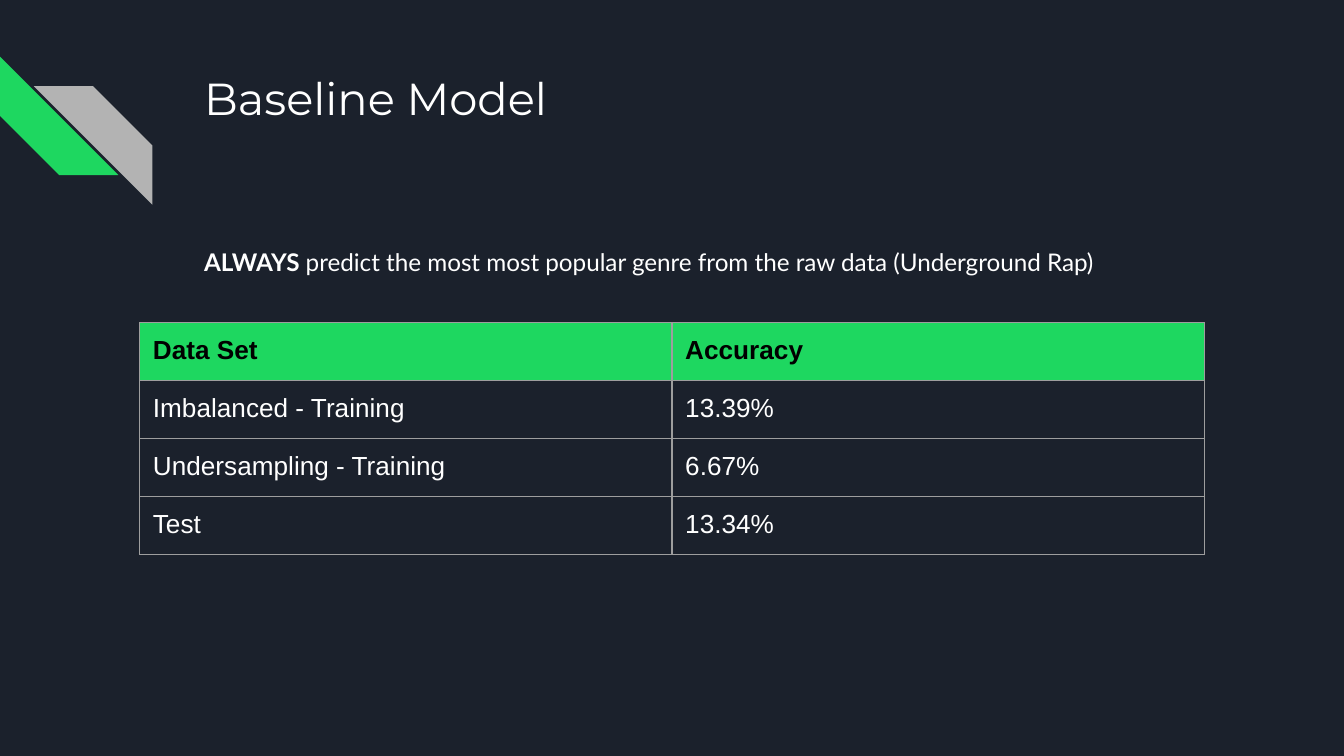
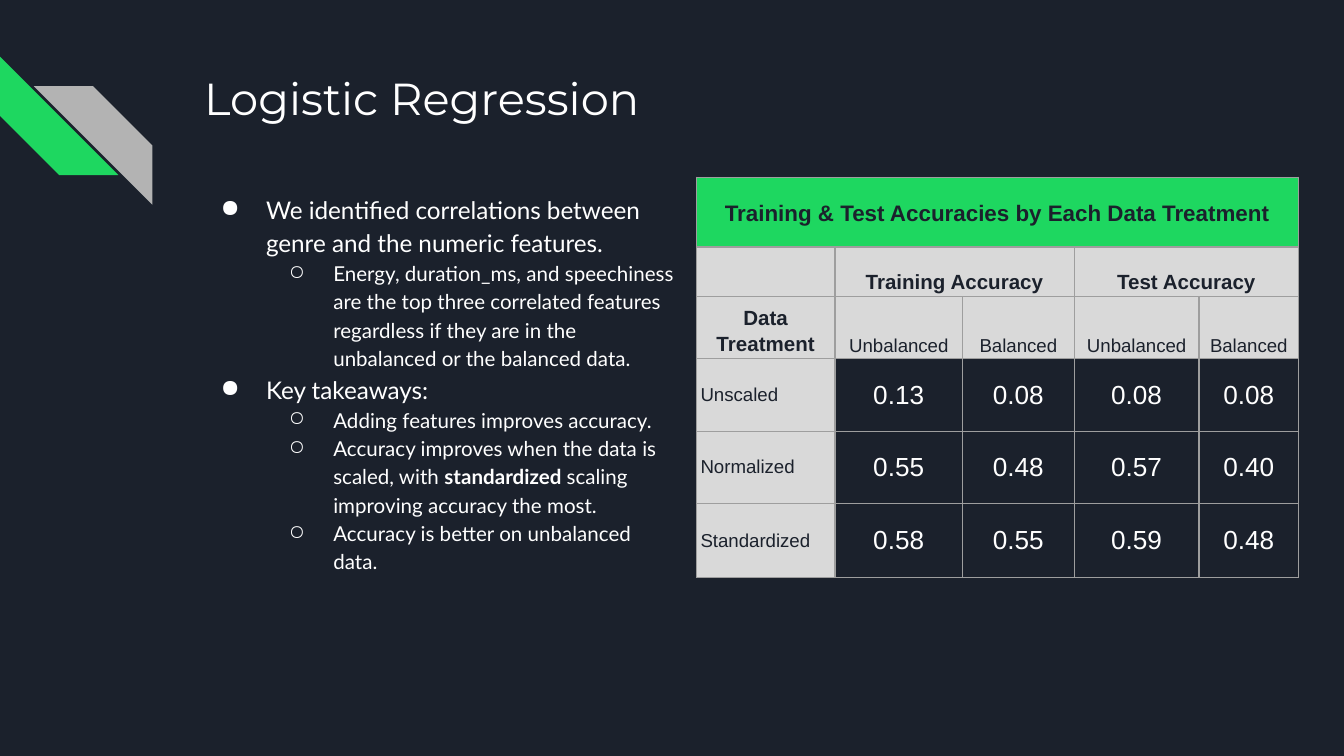
from lxml import etree
from pptx import Presentation
from pptx import util as u
from pptx.dml.color import RGBColor
from pptx.enum import shapes, text
from pptx.oxml import ns

NAVY, GREEN, SILVER = "1B212C", "1ED760", "B3B3B3"
WHITE, BLACK, PALE, GRID = "FFFFFF", "000000", "D9D9D9", "9E9E9E"
LEFT, CENTER = text.PP_ALIGN.LEFT, text.PP_ALIGN.CENTER
TOP, MIDDLE, BOTTOM = (text.MSO_ANCHOR.TOP, text.MSO_ANCHOR.MIDDLE,
                       text.MSO_ANCHOR.BOTTOM)


def color(code):
    return RGBColor.from_string(code)


def add_xml(parent, tag, **attributes):
    return etree.SubElement(parent, ns.qn(tag), attributes)


class DeckBuilder:
    """Holds the shared style and the current slide."""

    # Symbol, left margin, hanging indent and text size by level
    bullets = [("●", 1.27, 0.86, 13), ("○", 2.54, 0.84, 11)]

    def __init__(self):
        self.deck = Presentation()
        self.deck.slide_width = u.Cm(25.4)
        self.deck.slide_height = u.Cm(14.29)
        self.page = None

    def new_page(self, title):
        self.page = self.deck.slides.add_slide(self.deck.slide_layouts[6])
        fill = self.page.background.fill
        fill.solid()
        fill.fore_color.rgb = color(NAVY)
        self.stripe(0, 1.07, 270, GREEN)
        self.stripe(0.64, 1.63, 90, SILVER)
        frame = self.text_box(3.61, 1.09, 19.56, 2.54)
        self.span(frame.paragraphs[0], title, 24, "Montserrat")

    def stripe(self, left, top, rotation, fill):
        side = u.Cm(2.24)
        shape = self.page.shapes.add_shape(
            shapes.MSO_SHAPE.DIAGONAL_STRIPE, u.Cm(left), u.Cm(top), side, side)
        shape.rotation = rotation
        shape.shadow.inherit = False
        shape.fill.solid()
        shape.fill.fore_color.rgb = color(fill)
        shape.line.fill.background()

    def text_box(self, left, top, width, height):
        box = self.page.shapes.add_textbox(
            u.Cm(left), u.Cm(top), u.Cm(width), u.Cm(height))
        frame = box.text_frame
        frame.word_wrap = True
        frame.margin_left = frame.margin_right = u.Cm(0.25)
        frame.margin_top = frame.margin_bottom = u.Cm(0.25)
        return frame

    def span(self, para, words, size, font="Lato", ink=WHITE, bold=False):
        span = para.add_run()
        span.text = words
        span.font.size = u.Pt(size)
        span.font.name = font
        span.font.bold = bold
        span.font.color.rgb = color(ink)

    def body(self, frame, paragraphs):
        """Each paragraph is (level or None, [(words, bold), ...])."""
        for number, (level, spans) in enumerate(paragraphs):
            para = frame.add_paragraph() if number else frame.paragraphs[0]
            size = 13
            if level is not None:
                size = self.bullet(para, level)
            para.line_spacing = 1.15
            for words, bold in spans:
                self.span(para, words, size, bold=bold)

    def bullet(self, para, level):
        symbol, margin, hanging, size = self.bullets[level]
        para.level = level
        props = para._p.get_or_add_pPr()
        props.set("marL", str(u.Cm(margin)))
        props.set("indent", str(-u.Cm(hanging)))
        add_xml(add_xml(props, "a:buClr"), "a:srgbClr", val=WHITE)
        add_xml(props, "a:buChar", char=symbol)
        return size

    def table(self, left, top, widths, heights):
        frame = self.page.shapes.add_table(
            len(heights), len(widths), u.Cm(left), u.Cm(top),
            u.Cm(sum(widths)), u.Cm(sum(heights)))
        table = frame.table
        table.first_row = table.horz_banding = False
        for column, width in zip(table.columns, widths):
            column.width = u.Cm(width)
        for row, height in zip(table.rows, heights):
            row.height = u.Cm(height)
        return table

    def cell(self, cell, words, size, ink, fill=None, bold=False, align=LEFT,
             anchor=TOP, margins=(0.25, 0.25), spacing=None):
        side, edge = (u.Cm(margin) for margin in margins)
        cell.margin_left = cell.margin_right = side
        cell.margin_top = cell.margin_bottom = edge
        cell.vertical_anchor = anchor
        # Borders come before the fill
        props = cell._tc.get_or_add_tcPr()
        for tag in ("a:lnL", "a:lnR", "a:lnT", "a:lnB"):
            line = add_xml(props, tag, w=str(u.Pt(0.75)))
            add_xml(add_xml(line, "a:solidFill"), "a:srgbClr", val=GRID)
        if fill:
            cell.fill.solid()
            cell.fill.fore_color.rgb = color(fill)
        else:
            cell.fill.background()
        para = cell.text_frame.paragraphs[0]
        para.alignment = align
        if spacing:
            para.line_spacing = spacing
        if words:
            self.span(para, words, size, "Arial", ink, bold)
        else:
            para.font.size = u.Pt(size)


def baseline_page(builder):
    builder.new_page("Baseline Model")
    builder.body(builder.text_box(3.61, 4.34, 19.56, 8.08), [
        (None, [("ALWAYS", True),
                (" predict the most most popular genre from the raw data "
                 "(Underground Rap)", False)])])

    # Accuracy by data set
    rows = [("Data Set", "Accuracy"),
            ("Imbalanced - Training", "13.39%"),
            ("Undersampling - Training", "6.67%"),
            ("Test", "13.34%")]
    table = builder.table(2.64, 6.1, [10.06] * 2, [1.07] * len(rows))
    for r, row in enumerate(rows):
        look = (dict(ink=WHITE) if r else
                dict(ink=BLACK, fill=GREEN, bold=True))
        for c, words in enumerate(row):
            builder.cell(table.cell(r, c), words, 14, **look)


def treatment_look(r, c):
    """Style of a cell in the data treatment table."""
    if r == 0:
        return dict(size=12, ink=NAVY, fill=GREEN, bold=True, align=CENTER,
                    anchor=MIDDLE, spacing=1.15)
    if r < 3:
        strong = r == 1 or c == 0
        return dict(size=11 if strong else 10, ink=NAVY, fill=PALE, bold=strong,
                    align=CENTER, anchor=BOTTOM, spacing=1.15)
    if c == 0:
        return dict(size=10, ink=NAVY, fill=PALE, anchor=MIDDLE)
    return dict(size=14, ink=WHITE, align=CENTER, anchor=MIDDLE)


def regression_page(builder):
    builder.new_page("Logistic Regression")
    builder.body(builder.text_box(3.51, 3.35, 9.5, 10.59), [
        (0, [("We identified correlations between genre and the numeric "
              "features.", False)]),
        (1, [("Energy, duration_ms, and speechiness are the top three "
              "correlated features regardless if they are in the unbalanced "
              "or the balanced data.", False)]),
        (0, [("Key takeaways:", False)]),
        (1, [("Adding features improves accuracy.", False)]),
        (1, [("Accuracy improves when the data is scaled, with ", False),
             ("standardized ", True),
             ("scaling improving accuracy the most.", False)]),
        (1, [("Accuracy is better on unbalanced data.", False)])])

    # Accuracy by data treatment
    rows = [
        ("Training & Test Accuracies by Each Data Treatment", "", "", "", ""),
        ("", "Training Accuracy", "", "Test Accuracy", ""),
        ("Data Treatment", *["Unbalanced", "Balanced"] * 2),
        ("Unscaled", "0.13", "0.08", "0.08", "0.08"),
        ("Normalized", "0.55", "0.48", "0.57", "0.40"),
        ("Standardized", "0.58", "0.55", "0.59", "0.48")]
    table = builder.table(13.16, 3.35, [2.62, 2.41, 2.11, 2.36, 1.88],
                          [1.32, 0.94, 1.14, 1.37, 1.37, 1.4])
    for r, row in enumerate(rows):
        for c, words in enumerate(row):
            builder.cell(table.cell(r, c), words, margins=(0.08, 0.05),
                         **treatment_look(r, c))
    for r, first, last in [(0, 0, 4), (1, 1, 2), (1, 3, 4)]:
        table.cell(r, first).merge(table.cell(r, last))


def main():
    builder = DeckBuilder()
    baseline_page(builder)
    regression_page(builder)
    builder.deck.save("out.pptx")


if __name__ == "__main__":
    main()
